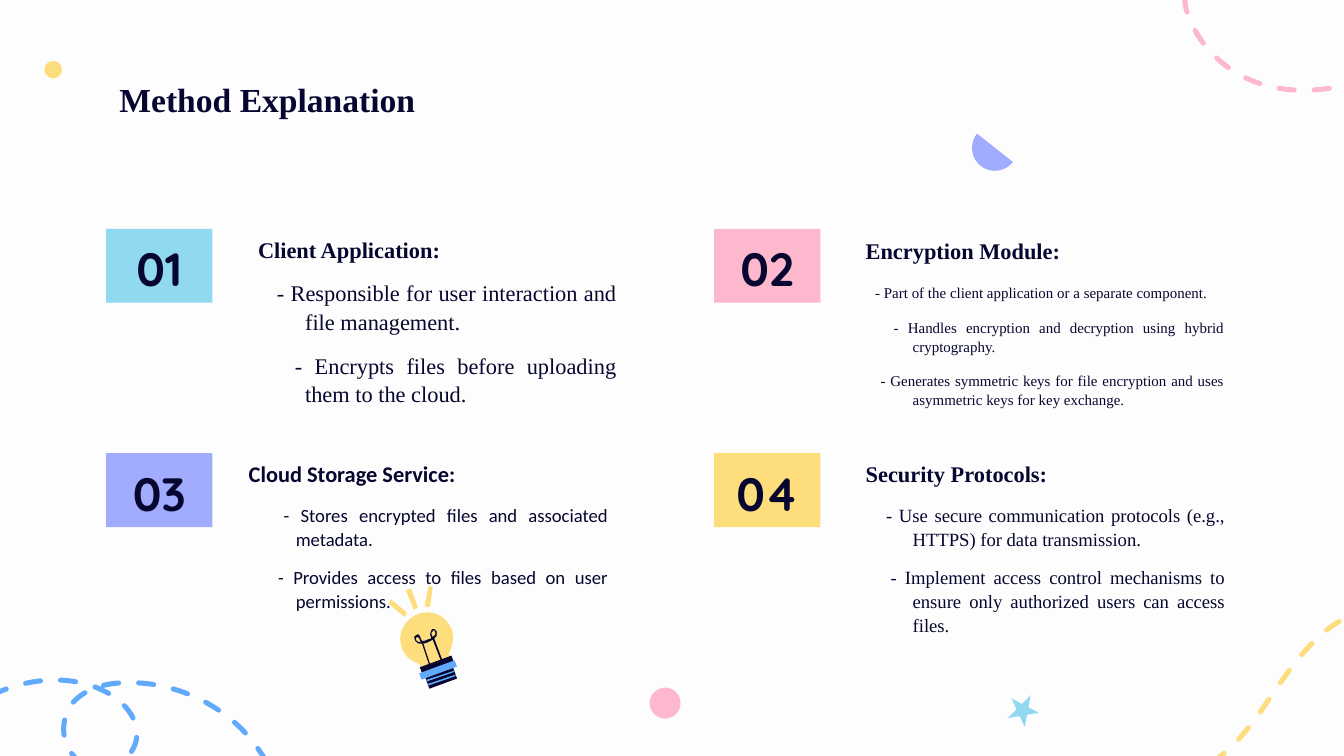
from lxml import etree
from pptx import Presentation
from pptx.dml.color import RGBColor
from pptx.enum import dml, shapes, text
from pptx.oxml.ns import qn
from pptx.util import Pt

INK, YELLOW, PINK = "060630", "FEDD7C", "FDB8CD"
BLUE, SKY, LILAC = "60A9FB", "91D9F1", "A1ACFE"
SERIF = "Times New Roman"
TILT = -20.2  # lean of the bulb, in degrees
UNIT = 127  # path unit: a hundredth of a point, in EMU
LEFT, CENTER, JUST = text.PP_ALIGN.LEFT, text.PP_ALIGN.CENTER, text.PP_ALIGN.JUSTIFY

# Paths: a start point, then (x, y) for a line or six numbers for a curve
YELLOW_TRAIL = [
    (595.4, 421.2), (607.7, 421.2, 619.9, 420.5, 631.4, 417.6),
    (643, 414, 653, 406.8, 661.7, 398.2), (684, 374.4, 696.2, 339.8, 727.2, 328.3),
    (736.6, 325.4, 747.4, 326.2, 756.7, 330.5), (766.1, 334.8, 773.3, 343.4, 773.3, 353.5)]
BLUE_TRAIL = [
    (154.1, 462.2), (157, 437.8, 149, 412.6, 132.5, 393.8),
    (116.6, 375.8, 91.4, 365, 67.7, 365.8), (56.9, 365.8, 46.1, 368.6, 38.9, 376.6),
    (33.8, 383, 32.4, 393.1, 36.7, 401), (40.3, 408.2, 49.7, 413.3, 58.3, 411.1),
    (66.2, 409.7, 73.4, 401.8, 73.4, 393.1), (73.4, 383.8, 65.5, 375.1, 56.9, 370.8),
    (39.6, 361.4, 17.3, 362.9, -0.7, 370.8), (-19.4, 378.7, -34.6, 391.7, -48.2, 406.1)]
PINK_TRAIL = [
    (635, -1.4), (632.2, 6.5, 653.8, 63.4, 725.8, 44.6),
    (749.5, 38.2, 764.6, 10.8, 763.2, -13.7)]
GLASS = [
    (241.9, 337), (239, 329.8, 231.1, 326.2, 223.9, 329),
    (216.7, 331.9, 212.4, 339.8, 215.3, 347), (216.7, 351.4, 220.3, 354.2, 224.6, 355.7),
    (226.1, 360.7), (241.9, 355), (240.5, 349.9), (242.6, 346.3, 243.4, 341.3, 241.9, 337)]
WIRE = [
    (229.7, 355.7), (226.1, 344.9), (224.6, 344.9, 223.2, 344.9, 222.5, 343.4),
    (221.8, 342.7, 221.8, 342, 221.8, 341.3), (222.5, 340.6, 223.2, 339.8, 223.9, 339.8),
    (224.6, 340.6, 225.4, 340.6, 225.4, 342), (226.1, 343.4),
    (226.8, 343.4, 228.2, 343.4, 229, 342.7), (229.7, 342.7, 230.4, 342, 231.1, 342),
    (230.4, 339.8), (230.4, 339.1, 230.4, 338.4, 231.1, 337.7),
    (231.1, 337, 231.8, 337, 232.6, 337), (234, 337.7, 234, 338.4, 234, 339.1),
    (234.7, 340.6, 233.3, 341.3, 232.6, 342), (236.9, 353.5), (236.1, 353.8),
    (231.8, 342.7), (231.1, 343.4, 230.4, 343.4, 229, 344.2),
    (228.2, 344.2, 227.5, 344.2, 226.8, 344.9), (230.4, 355.7)]
LEFT_LOOP = [
    (223.9, 341.3), (223.2, 341.3), (222.5, 342, 222.5, 342.7, 223.2, 343.4),
    (223.2, 343.4, 224.6, 344.2, 225.4, 344.2), (224.6, 342),
    (224.6, 341.3, 223.9, 341.3, 223.9, 341.3)]
RIGHT_LOOP = [
    (232.6, 337.7), (231.8, 337.7, 231.8, 337.7, 231.8, 338.4),
    (231.1, 338.4, 231.1, 339.1, 231.1, 339.8), (231.8, 341.3),
    (233.3, 340.6, 233.3, 339.8, 233.3, 339.1), (233.3, 338.4, 233.3, 338.4, 232.6, 337.7)]
THREADS = [
    [(229.7, 367.2), (229, 366.5), (244.1, 361.4), (244.1, 362.2)],
    [(229, 365), (228.2, 364.3), (243.4, 359.3), (243.4, 360)]]
RAYS = [
    [(223.9, 325.4), (221.8, 326.9), (217.4, 316.1), (220.3, 315.4)],
    [(231.8, 314.6), (229.7, 313.9), (227.5, 324.7), (230.4, 325.4)],
    [(216.7, 330.5), (218.2, 328.3), (209.5, 321.1), (208.1, 323.3)]]

# Cards: number, fill, tile x and y, text x and y, font, size, heading,
# then (indent, point) with the gap above the point where it is not 8
CARDS = [
    ("01", SKY, 56.8, 122.6, 120.4, 118.1, SERIF, 12, "Client Application:", [
        (-15.1, "- Responsible for user interaction and file management."),
        (-5.5, "- Encrypts files before uploading them to the cloud.")]),
    ("02", PINK, 382.5, 122.6, 445.9, 118.8, SERIF, 8, "Encryption Module:", [
        (-20.1, "- Part of the client application or a separate component.", 10),
        (-10.2, "- Handles encryption and decryption using hybrid cryptography.", 8.5),
        (-17.2, "- Generates symmetric keys for file encryption and uses asymmetric "
                "keys for key exchange.")]),
    ("03", LILAC, 56.8, 242.8, 115.4, 238.3, "Calibri", 10, "Cloud Storage Service:", [
        (-6.5, "- Stores encrypted files and associated metadata."),
        (-9.5, "- Provides access to files based on user permissions.")]),
    ("04", YELLOW, 382.5, 242.8, 445.9, 238.3, SERIF, 10, "Security Protocols:", [
        (-14.2, "- Use secure communication protocols (e.g., HTTPS) for data transmission."),
        (-11.8, "- Implement access control mechanisms to ensure only authorized users "
                "can access files.")]),
]


def color(code):
    return RGBColor.from_string(code)


def paint(shape, fill):
    shape.shadow.inherit = False
    shape.fill.solid()
    shape.fill.fore_color.rgb = color(fill)
    shape.line.fill.background()


def write(para, words, font=SERIF, size=12, bold=False, align=LEFT, space=1.0,
          after=0, margin=0, indent=0):
    props = para._p.get_or_add_pPr()
    props.set("marL", str(Pt(margin)))
    props.set("indent", str(Pt(indent)))
    para.alignment, para.line_spacing, para.space_after = align, space, Pt(after)
    run = para.add_run()
    run.text = words
    run.font.name, run.font.size, run.font.bold = font, Pt(size), bold
    run.font.color.rgb = color(INK)


def frame(shape, anchor=text.MSO_ANCHOR.TOP, low=7.2):
    body = shape.text_frame
    body.word_wrap, body.auto_size = True, text.MSO_AUTO_SIZE.NONE
    body.vertical_anchor = anchor
    body.margin_left = body.margin_right = body.margin_top = Pt(7.2)
    body.margin_bottom = Pt(low)
    return body


def preset(slide, kind, x, y, w, h, fill, turn=0):
    shape = slide.shapes.add_shape(kind, Pt(x), Pt(y), Pt(w), Pt(h))
    paint(shape, fill)
    shape.rotation = turn
    return shape


def trace(path, steps=12):
    """Points along lines and cubic curves, used to find the true extent."""
    spots = [path[0]]
    for step in path[1:]:
        ends = [spots[-1], step[:2], step[2:4], step[4:]]
        for i in range(1, steps + 1) if len(step) == 6 else ():
            t = i / steps
            parts = ((1 - t) ** 3, 3 * t * (1 - t) ** 2, 3 * t * t * (1 - t), t ** 3)
            spots.append(tuple(sum(k * e[n] for k, e in zip(parts, ends)) for n in (0, 1)))
        if len(step) == 2:
            spots.append(step)
    return [(x * 100, y * 100) for x, y in spots]


def outline(slide, paths, close=True):
    spots = [spot for path in paths for spot in trace(path)]
    pen = slide.shapes.build_freeform(*spots[0], scale=UNIT)
    pen.add_line_segments(spots[1:], close=close)
    shape = pen.convert_to_shape()
    # Put the lines and true curves inside that extent
    geom = next(shape._element.iter(qn("a:path")))
    for child in list(geom):
        geom.remove(child)
    start = shape.left / UNIT, shape.top / UNIT
    for path in paths:
        for i, step in enumerate(path):
            tag = "a:moveTo" if i == 0 else "a:lnTo" if len(step) == 2 else "a:cubicBezTo"
            node = etree.SubElement(geom, qn(tag))
            for x, y in zip(step[::2], step[1::2]):
                etree.SubElement(node, qn("a:pt"), x=str(round(x * 100 - start[0])),
                                 y=str(round(y * 100 - start[1])))
        if close:
            etree.SubElement(geom, qn("a:close"))
    return shape


def solid(slide, fill, *paths):
    shape = outline(slide, paths)
    paint(shape, fill)
    return shape


def trail(slide, path, hue):
    shape = outline(slide, [path], close=False)
    shape.shadow.inherit = False
    shape.fill.background()
    shape.line.color.rgb = color(hue)
    shape.line.width = Pt(2.69)
    shape.line.dash_style = dml.MSO_LINE.DASH
    shape.line._get_or_add_ln().set("cap", "rnd")


def bar(slide, x, y, w, h, fill):
    box = [(x, y), (x + w, y), (x + w, y + h), (x, y + h)]
    solid(slide, fill, box).rotation = TILT


def card(slide, num, fill, x, y, left, top, font, size, head, points):
    tile = preset(slide, shapes.MSO_SHAPE.RECTANGLE, x, y, 57, 39.6, fill)
    body = frame(tile, text.MSO_ANCHOR.BOTTOM, 3.6)
    write(body.paragraphs[0], num, font="Quicksand", size=25, bold=True,
          align=CENTER, space=1.15)
    box = slide.shapes.add_textbox(Pt(left), Pt(top), Pt(217.2), Pt(108))
    body = frame(box)
    last = body.paragraphs[0]
    write(last, head, font=font, bold=True, space=1.07, after=8, margin=36, indent=-25.2)
    for indent, words, *gap in points:
        if gap:
            last.space_after = Pt(gap[0])
        last = body.add_paragraph()
        write(last, words, font=font, size=size, align=JUST, space=1.07, after=8,
              margin=36, indent=indent)


def bulb(slide):
    solid(slide, YELLOW, GLASS)
    bar(slide, 228.2, 358.6, 15.8, 7.9, INK)
    bar(slide, 225.4, 354.2, 18, 5.8, INK)
    bar(slide, 224.6, 357.1, 20.2, 3.6, BLUE)
    solid(slide, INK, WIRE, LEFT_LOOP, RIGHT_LOOP)
    solid(slide, BLUE, *THREADS)
    solid(slide, YELLOW, *RAYS)


def main():
    deck = Presentation()
    deck.slide_width, deck.slide_height = Pt(720), Pt(405)
    slide = deck.slides.add_slide(deck.slide_layouts[5])
    slide.background.fill.solid()
    slide.background.fill.fore_color.rgb = color("FDFDFD")
    kind = shapes.MSO_SHAPE
    # Dashed trails and corner dot
    trail(slide, YELLOW_TRAIL, YELLOW)
    trail(slide, BLUE_TRAIL, BLUE)
    preset(slide, kind.OVAL, 23.8, 32.6, 9.4, 9.4, YELLOW)
    trail(slide, PINK_TRAIL, PINK)
    # Title
    title = slide.shapes.title
    title.left, title.top, title.width, title.height = Pt(56.8), Pt(35.3), Pt(607), Pt(45.4)
    write(frame(title).paragraphs[0], "Method Explanation", size=18, bold=True)
    # Numbered cards
    for item in CARDS:
        card(slide, *item)
    # Small ornaments
    preset(slide, kind.OVAL, 348, 368.4, 16.6, 16.6, PINK)
    star = preset(slide, kind.STAR_5_POINT, 540, 371.5, 16.6, 16.6, SKY, 27.6)
    star.adjustments[0] = 0.19
    chord = preset(slide, kind.CHORD, 520.8, 67, 24.5, 24.5, LILAC, 308.8)
    chord.adjustments[0] = 53.43
    bulb(slide)
    deck.save("out.pptx")


if __name__ == "__main__":
    main()
